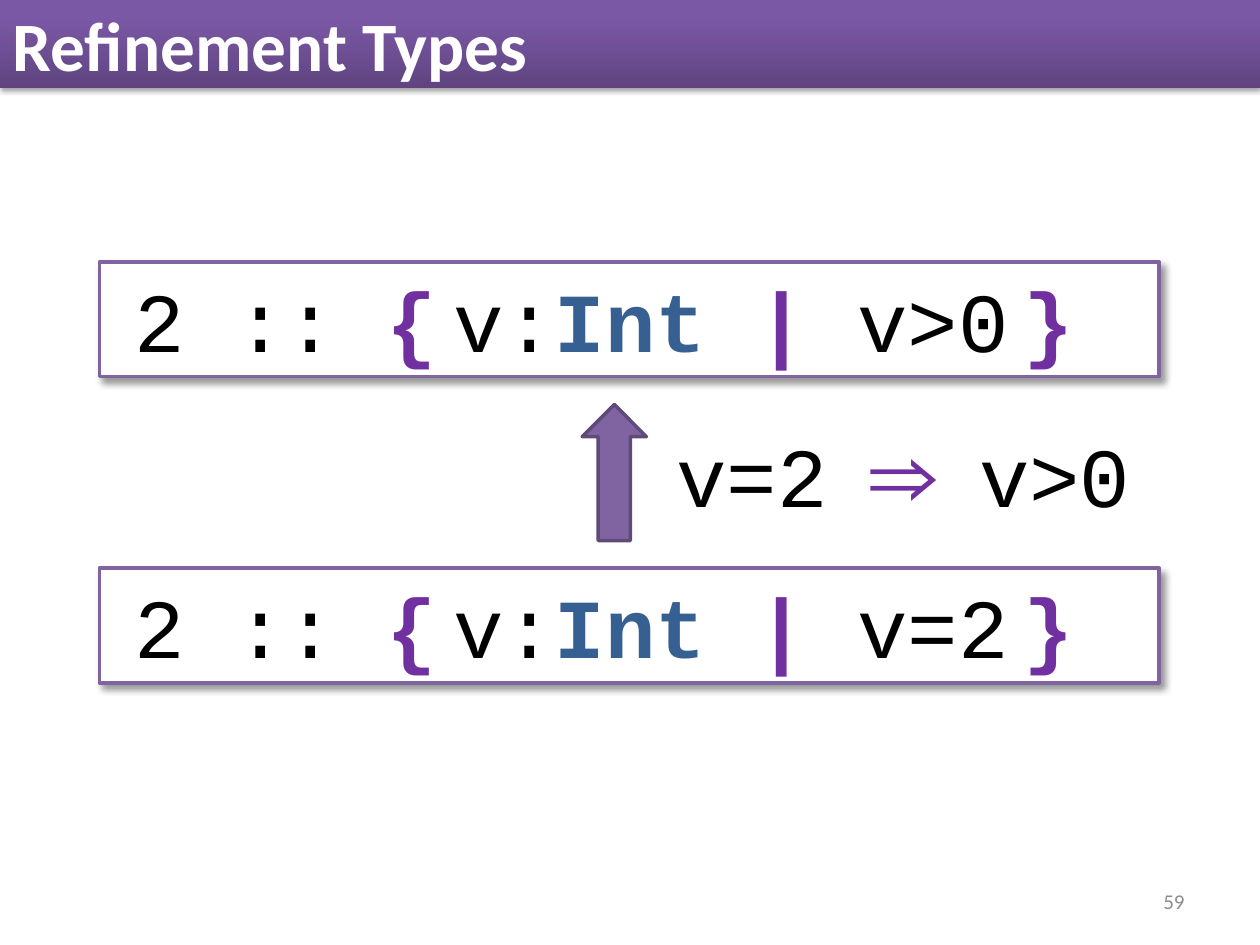
from lxml import etree
from pptx import Presentation, util as u
from pptx.dml.color import RGBColor
from pptx.enum import shapes, text
from pptx.oxml import ns

W, H = 10, 7.5
TITLE, NUMBER = "Refinement Types", "59"
BLACK, PURPLE, BLUE, WHITE, GREY = "000000", "7030A0", "376092", "FFFFFF", "8C8C8C"
EDGE, ARROW_EDGE = "8064A2", "5F4A78"
CODE, SANS = "Courier New", "Calibri"
BAR_STOPS = [(0, "5F4480"), (80, "7B58A6"), (100, "7C57A8")]

BOX_X, BOX_W, BOX_H = 0.79, 8.41, 0.91
TYPES = [("v=2", 4.51), ("v>0", 2.08)]  # predicate, top of its box
# Runs: text, size, colour, bold
IMPLICATION = [("v=2 ", 48, BLACK, False), ("⇒ ", 48, PURPLE, True),
               ("v>0", 48, BLACK, False)]


def type_runs(predicate):
    return [("2 :: ", 48, BLACK, False), ("{", 48, PURPLE, True),
            (" ", 16, BLACK, False), ("v:", 48, BLACK, False),
            ("Int ", 48, BLUE, True), ("| ", 48, PURPLE, True),
            (predicate, 48, BLACK, False), (" ", 14, BLACK, False),
            ("} ", 48, PURPLE, True)]


def rgb(color):
    return RGBColor.from_string(color)


def inches(*lengths):
    return [u.Inches(n) for n in lengths]


def child(parent, tag, **attrs):
    return etree.SubElement(parent, ns.qn(tag), {k: str(v) for k, v in attrs.items()})


def add_color(parent, color):
    return child(parent, "a:srgbClr", val=color)


def add_gradient(sp, stops):
    """Fill upwards through (percent, colour) stops."""
    grad = child(sp._element.spPr, "a:gradFill", rotWithShape=1)
    lst = child(grad, "a:gsLst")
    for pos, color in stops:
        add_color(child(lst, "a:gs", pos=pos * 1000), color)
    child(grad, "a:lin", ang=270 * 60000, scaled=0)


def add_shadow(sp, alpha, blur, dist, angle):
    """Blur and distance are in points, alpha in percent."""
    effects = sp._element.spPr.find(ns.qn("a:effectLst"))
    if effects is None:
        effects = child(sp._element.spPr, "a:effectLst")
    shadow = child(effects, "a:outerShdw", blurRad=u.Pt(blur), dist=u.Pt(dist),
                   dir=angle * 60000, algn="tl", rotWithShape=0)
    child(add_color(shadow, BLACK), "a:alpha", val=alpha * 1000)


def write(sp, runs, font, align, anchor):
    tf = sp.text_frame
    tf.word_wrap = True
    tf.auto_size = text.MSO_AUTO_SIZE.NONE
    tf.vertical_anchor = anchor
    p = tf.paragraphs[0]
    p.alignment = align
    for words, size, color, bold in runs:
        r = p.add_run()
        r.text = words
        r.font.name, r.font.size, r.font.bold = font, u.Pt(size), bold
        r.font.color.rgb = rgb(color)


def add_shape(s, kind, at, fill, line):
    sp = s.shapes.add_shape(kind, *inches(*at))
    sp.shadow.inherit = False
    sp.fill.solid()
    sp.fill.fore_color.rgb = rgb(fill)
    sp.line.color.rgb = rgb(line)
    sp.line.width = u.Pt(2)
    return sp


def main():
    prs = Presentation()
    prs.slide_width, prs.slide_height = inches(W, H)
    s = prs.slides.add_slide(prs.slide_layouts[5])
    align, anchor, kind = text.PP_ALIGN, text.MSO_ANCHOR, shapes.MSO_SHAPE

    title = s.shapes.title
    title.left, title.top, title.width, title.height = inches(0, 0, W, 0.7)
    add_gradient(title, BAR_STOPS)
    add_shadow(title, 35, 3.1, 1.8, 90)
    write(title, [(TITLE, 39.6, WHITE, True)], SANS, align.LEFT, anchor.MIDDLE)

    number = s.shapes.add_textbox(*inches(7.17, 6.95, 2.33, 0.4))
    write(number, [(NUMBER, 12, GREY, False)], SANS, align.RIGHT, anchor.MIDDLE)

    for predicate, top in TYPES:
        box = add_shape(s, kind.RECTANGLE, (BOX_X, top, BOX_W, BOX_H), WHITE, EDGE)
        add_shadow(box, 40, 4, 3, 45)
        write(box, type_runs(predicate), CODE, align.CENTER, anchor.TOP)

    implication = s.shapes.add_textbox(*inches(5.21, 3.31, 3.92, 0.88))
    write(implication, IMPLICATION, CODE, align.CENTER, anchor.TOP)

    arrow = add_shape(s, kind.DOWN_ARROW, (4.62, 3.21, 0.51, 1.08), EDGE, ARROW_EDGE)
    arrow.rotation = 180

    prs.save("out.pptx")


if __name__ == "__main__":
    main()
